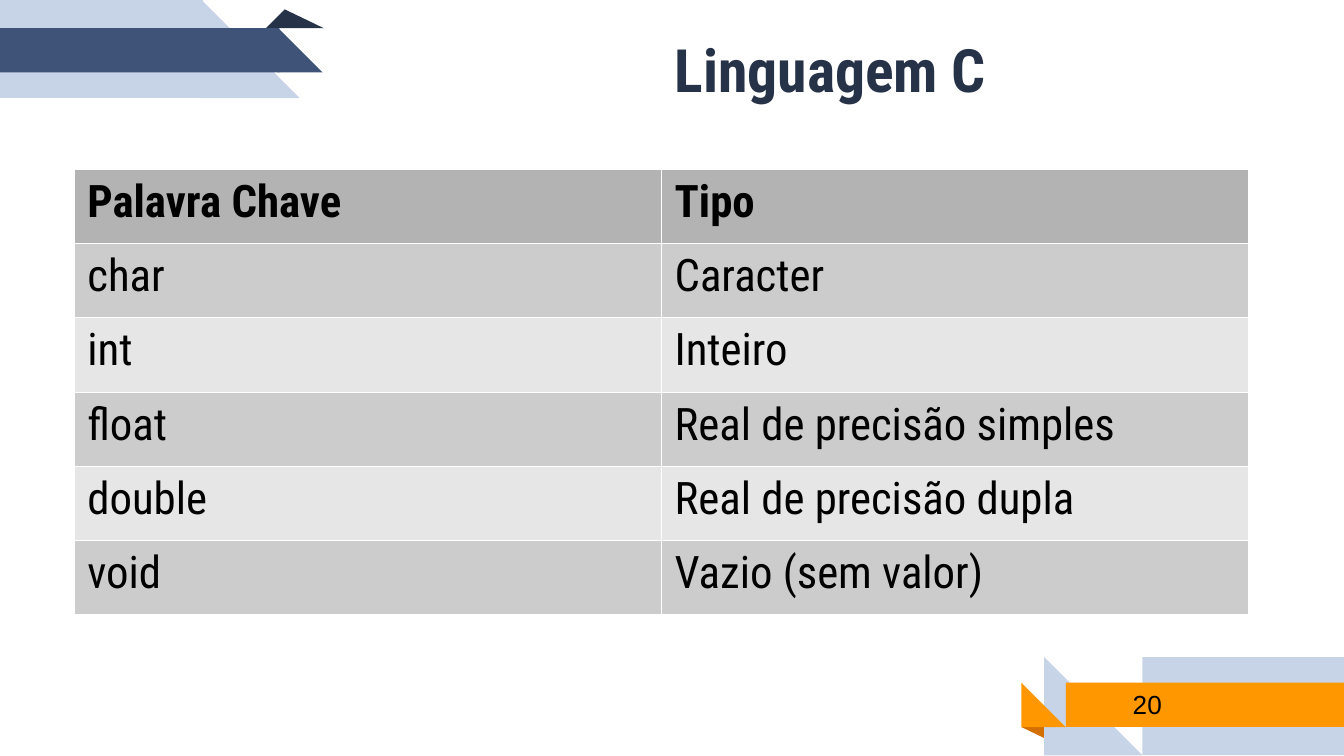
from dataclasses import dataclass

from lxml import etree
from pptx import Presentation
from pptx.dml.color import RGBColor
from pptx.enum import shapes, text
from pptx.oxml import ns
from pptx.util import Inches, Pt


@dataclass(frozen=True)
class Theme:
    font: str = "Roboto Condensed"
    number_font: str = "Arial"
    title_size: int = 32
    table_size: int = 24
    number_size: int = 14
    border_width: float = 0.06
    ink: str = "000000"
    white: str = "FFFFFF"
    pale: str = "C7D3E6"
    navy: str = "263248"
    blue: str = "3F5378"
    orange: str = "FF9800"
    rust: str = "D26F00"
    header: str = "B3B3B3"
    bands: tuple = ("CCCCCC", "E6E6E6")


THEME = Theme()
KIND = shapes.MSO_SHAPE
SLIDE_WIDTH = Inches(10)
SLIDE_HEIGHT = SLIDE_WIDTH * 9 // 16
TYPES = [
    ("Palavra Chave", "Tipo"),
    ("char", "Caracter"),
    ("int", "Inteiro"),
    ("float", "Real de precisão simples"),
    ("double", "Real de precisão dupla"),
    ("void", "Vazio (sem valor)"),
]


def set_values(target, values):
    for name, value in values.items():
        setattr(target, name, value)


def write(frame, words, size, color, font=THEME.font, bold=False, align=None):
    """Fill a text frame with one formatted paragraph."""
    paragraph = frame.paragraphs[0]
    paragraph.alignment = align
    run = paragraph.add_run()
    run.text = words
    set_values(run.font, {"name": font, "size": Pt(size), "bold": bold})
    run.font.color.rgb = RGBColor.from_string(color)


def format_frame(frame):
    set_values(frame, {
        "word_wrap": True,
        "auto_size": text.MSO_AUTO_SIZE.NONE,
        "vertical_anchor": text.MSO_ANCHOR.MIDDLE,
        **{f"margin_{side}": Inches(0.1)
           for side in ("left", "top", "right", "bottom")},
    })


def add_piece(slide, kind, box, color, rotation=0):
    shape = slide.shapes.add_shape(kind, *map(Inches, box))
    shape.shadow.inherit = False
    shape.fill.solid()
    shape.fill.fore_color.rgb = RGBColor.from_string(color)
    shape.line.fill.background()
    shape.rotation = rotation
    if kind == KIND.ISOSCELES_TRIANGLE:
        shape.adjustments[0] = 0.324


def add_ribbons(slide):
    # Bottom right ribbon
    add_piece(slide, KIND.ISOSCELES_TRIANGLE, (7.6, 5.41, 0.43, 0.14), THEME.rust, 180)
    add_piece(slide, KIND.RECTANGLE, (8.5, 4.89, 1.5, 0.73), THEME.pale)
    add_piece(slide, KIND.RIGHT_TRIANGLE, (7.77, 4.89, 0.73, 0.73), THEME.pale)
    add_piece(slide, KIND.RECTANGLE, (7.93, 5.08, 2.08, 0.33), THEME.orange)
    add_piece(slide, KIND.RIGHT_TRIANGLE, (7.6, 5.08, 0.33, 0.33), THEME.orange)
    # Top left ribbon
    add_piece(slide, KIND.ISOSCELES_TRIANGLE, (1.98, 0.07, 0.43, 0.14), THEME.navy)
    add_piece(slide, KIND.RECTANGLE, (0, 0, 1.51, 0.73), THEME.pale)
    add_piece(slide, KIND.RIGHT_TRIANGLE, (1.5, 0, 0.73, 0.73), THEME.pale)
    add_piece(slide, KIND.RECTANGLE, (0, 0.21, 2.08, 0.33), THEME.blue)
    add_piece(slide, KIND.RIGHT_TRIANGLE, (2.07, 0.21, 0.33, 0.33), THEME.blue)


def add_title(slide, words):
    title = slide.shapes.title
    set_values(title, {"left": Inches(2.36), "top": Inches(0.04),
                       "width": Inches(7.64), "height": Inches(0.94)})
    format_frame(title.text_frame)
    write(title.text_frame, words, THEME.title_size, THEME.navy,
          bold=True, align=text.PP_ALIGN.CENTER)


def add_page_number(slide, number):
    box = slide.shapes.add_textbox(*map(Inches, (8.33, 5.07, 1.63, 0.34)))
    format_frame(box.text_frame)
    write(box.text_frame, number, THEME.number_size, THEME.ink, THEME.number_font)


def add_borders(cell):
    properties = cell._tc.get_or_add_tcPr()
    for index, side in enumerate(("lnL", "lnR", "lnT", "lnB")):
        line = etree.Element(ns.qn(f"a:{side}"), w=str(Pt(THEME.border_width)))
        fill = etree.SubElement(line, ns.qn("a:solidFill"))
        etree.SubElement(fill, ns.qn("a:srgbClr"), val=THEME.white)
        properties.insert(index, line)


def add_type_table(slide, rows):
    frame = slide.shapes.add_table(len(rows), len(rows[0]), Inches(0.55),
                                   Inches(1.26), Inches(8.74), Inches(3.31))
    for row_index, row in enumerate(rows):
        is_header = row_index == 0
        color = THEME.header if is_header else THEME.bands[(row_index - 1) % 2]
        for column_index, words in enumerate(row):
            cell = frame.table.cell(row_index, column_index)
            cell.fill.solid()
            cell.fill.fore_color.rgb = RGBColor.from_string(color)
            write(cell.text_frame, words, THEME.table_size, THEME.ink, bold=is_header)
            add_borders(cell)


def main():
    presentation = Presentation()
    set_values(presentation, {"slide_width": SLIDE_WIDTH,
                              "slide_height": SLIDE_HEIGHT})
    slide = presentation.slides.add_slide(presentation.slide_layouts[5])
    add_ribbons(slide)
    add_title(slide, "Linguagem C")
    add_page_number(slide, "20")
    add_type_table(slide, TYPES)
    presentation.save("out.pptx")


main()
